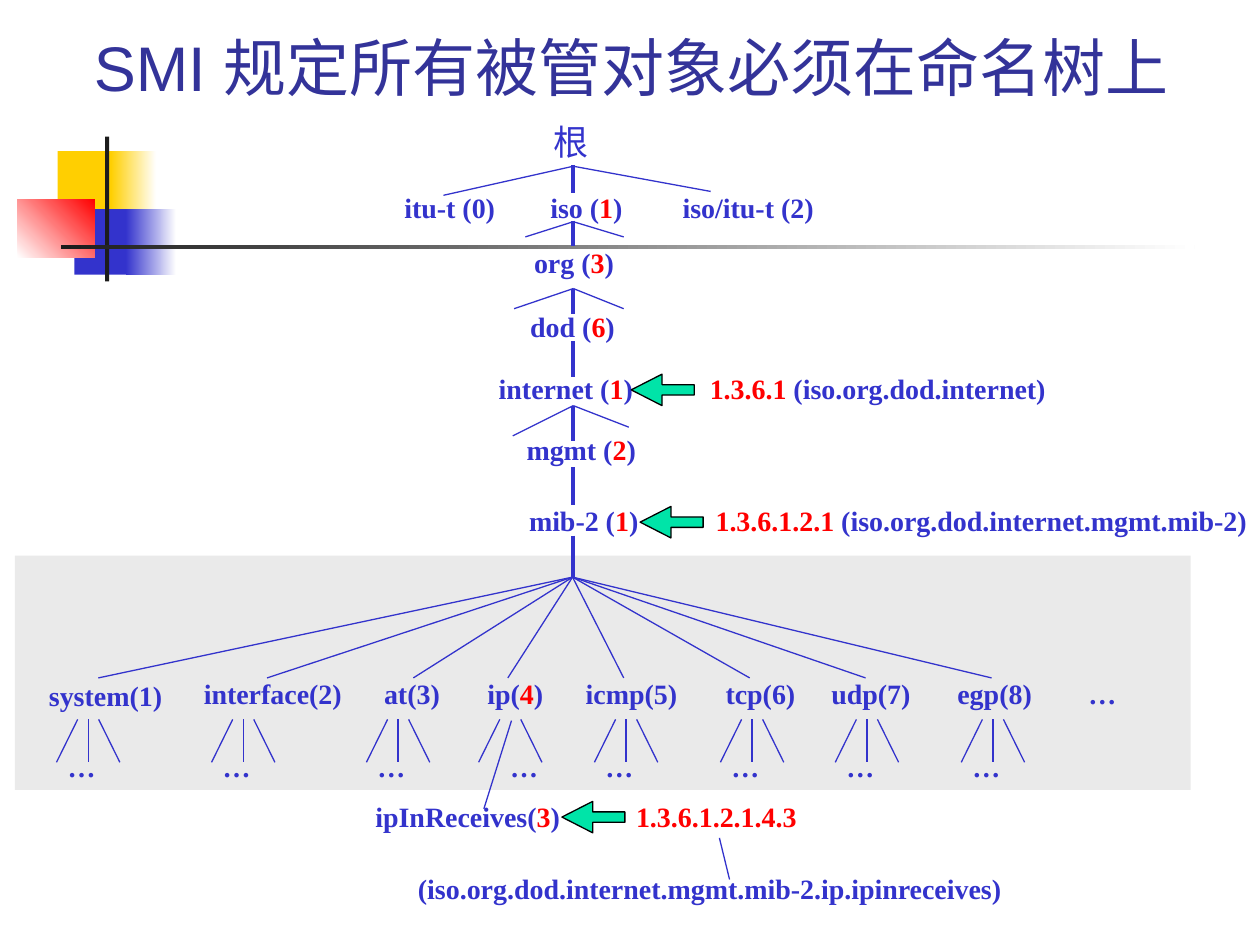
import pptx
import pptx.dml.color
import pptx.enum.shapes
import pptx.enum.text
import pptx.oxml
import pptx.util
from lxml import etree

Pt = pptx.util.Pt
SHAPES = pptx.enum.shapes.MSO_SHAPE
BLUE, RED, YELLOW, WHITE, BLACK = "3333CC", "FF0000", "FFCF01", "FFFFFF", "1C1C1C"
THIN, THICK = 0.75, 2.25
LABEL_HEIGHT = 26.6


def rgb(value):
    return pptx.dml.color.RGBColor.from_string(value)


def add_block(slide, left, top, width, height, start, end=None, angle=0):
    block = slide.shapes.add_shape(SHAPES.RECTANGLE, Pt(left), Pt(top), Pt(width), Pt(height))
    block.shadow.inherit = False
    block.line.fill.background()
    if end is None:
        block.fill.solid()
        block.fill.fore_color.rgb = rgb(start)
        return
    block.fill.gradient()
    block.fill.gradient_angle = angle
    for stop, position, color in zip(block.fill.gradient_stops, (0, 1), (start, end)):
        stop.position = position
        stop.color.rgb = rgb(color)


def add_branch(slide, x1, y1, x2, y2, weight=THIN):
    branch = slide.shapes.add_connector(
        pptx.enum.shapes.MSO_CONNECTOR.STRAIGHT, Pt(x1), Pt(y1), Pt(x2), Pt(y2))
    branch.line.color.rgb = rgb(BLUE)
    branch.line.width = Pt(weight)
    etree.SubElement(branch._element.spPr, pptx.oxml.ns.qn("a:effectLst"))


def add_pointer(slide, left, top):
    pointer = slide.shapes.add_shape(SHAPES.LEFT_ARROW, Pt(left), Pt(top), Pt(36), Pt(18))
    pointer.shadow.inherit = False
    pointer.adjustments[0] = 0.33
    pointer.adjustments[1] = 0.98
    pointer.fill.solid()
    pointer.fill.fore_color.rgb = rgb("00E4A8")
    pointer.line.color.rgb = rgb("000000")
    pointer.line.width = Pt(THIN)


def add_label(slide, left, top, width, text, size=16, bold=True, height=LABEL_HEIGHT, tab=None):
    label = slide.shapes.add_textbox(Pt(left), Pt(top), Pt(width), Pt(height))
    frame = label.text_frame
    frame.word_wrap = False
    frame.margin_right = Pt(3)
    frame.auto_size = pptx.enum.text.MSO_AUTO_SIZE.SHAPE_TO_FIT_TEXT
    paragraph = frame.paragraphs[0]
    if tab is not None:
        stops = etree.SubElement(paragraph._p.get_or_add_pPr(), pptx.oxml.ns.qn("a:tabLst"))
        etree.SubElement(stops, pptx.oxml.ns.qn("a:tab"), pos=str(int(Pt(tab))), algn="l")
    for index, part in enumerate(text.split("|")):
        if part:
            run = paragraph.add_run()
            run.text = part
            run.font.name = "Times New Roman"
            run.font.size = Pt(size)
            run.font.bold = bold
            run.font.color.rgb = rgb(RED if index % 2 else BLUE)


def add_title(slide, left, top, width, height):
    title = slide.shapes.add_textbox(Pt(left), Pt(top), Pt(width), Pt(height))
    frame = title.text_frame
    frame.word_wrap = True
    frame.margin_left = frame.margin_right = frame.margin_top = 0
    frame.margin_bottom = Pt(4.6)
    frame.vertical_anchor = pptx.enum.text.MSO_ANCHOR.BOTTOM
    paragraph = frame.paragraphs[0]
    paragraph.alignment = pptx.enum.text.PP_ALIGN.CENTER
    run = paragraph.add_run()
    run.text = "SMI 规定所有被管对象必须在命名树上 "
    run.font.name = "Arial"
    run.font.size = Pt(36)
    run.font.color.rgb = rgb("333399")


def add_ornament(slide, left, top):
    for x, y, width, height, *colors in (
        (23, 8.4, 34.6, 37.4, YELLOW),
        (53.4, 8.4, 25.9, 37.4, YELLOW, WHITE),
        (32.5, 41.5, 33.1, 37.4, BLUE),
        (62, 41.5, 28.8, 37.4, BLUE, WHITE),
        (0, 35.8, 44.2, 33.5, WHITE, RED, 45),
        (50, 0, 2.4, 82.8, BLACK),
        (24.7, 62, 648, 2.6, BLACK, WHITE),
    ):
        add_block(slide, left + x, top + y, width, height, *colors)


def add_naming_tree(slide, left, top):
    stem = left + 103.6
    add_label(slide, left + 85, top + 0.5, 34.6, "根", 20, False, 31.7)
    for x, y, width, text, tab in (
        (83.4, 40.1, 55.4, "iso (|1|)", None),
        (0, 40.1, 66.2, "itu-t (0)", None),
        (159, 40.1, 89.3, "iso/itu-t (2)", None),
        (74.1, 71.8, 59.8, "org (|3|)", None),
        (71.9, 108.5, 62.6, "dod (|6|)", None),
        (53.9, 143.8, 326.9, "internet (|1|)\t|1.3.6.1| (iso.org.dod.internet)", 120.6),
        (69.8, 178.4, 77, "mgmt (|2|)", None),
        (71.2, 219.4, 424.1, "mib-2 (|1|)\t|1.3.6.1.2.1| (iso.org.dod.internet.mgmt.mib-2)", 106.6),
    ):
        add_label(slide, left + x, top + y, width, text, tab=tab)
    for start, end in ((29.3, 45.2), (61, 75.4), (99.9, 114.3),
                       (130.1, 150.3), (166.8, 187), (202.1, 223.7)):
        add_branch(slide, stem, top + start, stem, top + end, THICK)
    for fork, *tips in (
        (30, (29.4, 46.6), (182.1, 44.4)),
        (61.7, (76.2, 70.4), (132.4, 70.4)),
        (99.9, (69.8, 111.4), (132.4, 111.4)),
        (166.8, (69, 184.1), (135.3, 179.1)),
    ):
        for x, y in tips:
            add_branch(slide, stem, top + fork, left + x, top + y)
    for x, y in ((136.7, 148.8), (141.8, 224.4)):
        add_pointer(slide, left + x, top + y)


def add_mib_groups(slide, left, top, width, height):
    add_block(slide, left, top, width, height, "EAEAEA")
    stem = left + 318.6
    add_branch(slide, stem, top - 11.5, stem, top + 13, THICK)
    for x, y, label_width, text, tip, center in (
        (12.3, 67, 79.2, "system(1)", 47.6, 41.8),
        (100.8, 65.5, 92.9, "interface(2)", 144, 130.4),
        (203.8, 65.5, 46.1, "at(3)", 227.6, 218.9),
        (262.8, 65.5, 46.1, "ip(|4|)", 281.6, 283),
        (319, 65.5, 66.2, "icmp(5)", 347.8, 349.2),
        (398.9, 65.5, 54, "tcp(6)", 419.8, 421.2),
        (459.4, 65.5, 59.8, "udp(7)", 486, 486.8),
        (531.4, 65.5, 56.9, "egp(8)", 558, 558.8),
    ):
        is_ip = text.startswith("ip(")
        add_label(slide, left + x, top + y, label_width, text)
        add_branch(slide, stem, top + 12.3, left + tip, top + 69.9)
        for side in (-1, 1) if is_ip else (-1, 0, 1):
            add_branch(slide, left + center + 6 * side, top + 93.6,
                       left + center + 18.1 * side, top + 118.1)
        add_label(slide, left + center - (7.2 if is_ip else 18.9), top + 107.3, 30.2, "…")
    add_label(slide, left + 606.3, top + 65.5, 30.2, "…")


def add_leaf_example(slide, left, top):
    add_branch(slide, left + 84.9, top - 41.8, left + 69.1, top + 8.6)
    add_label(slide, left, top, 123.8, "ipInReceives(|3|)")
    add_pointer(slide, left + 113.7, top + 4.3)
    add_label(slide, left + 149, top, 105.8, "|1.3.6.1.2.1.4.3")
    add_label(slide, left + 24.4, top + 41, 347.8,
              "(iso.org.dod.internet.mgmt.mib-2.ip.ipinreceives)")
    add_branch(slide, left + 209.5, top + 49, left + 203.7, top + 25.2)


def main():
    deck = pptx.Presentation()
    deck.slide_width, deck.slide_height = Pt(720), Pt(540)
    slide = deck.slides.add_slide(deck.slide_layouts[6])
    add_ornament(slide, 10, 78)
    add_title(slide, 41, 9.4, 647.3, 54.7)
    add_naming_tree(slide, 224, 65)
    add_mib_groups(slide, 8.6, 317.5, 671.8, 133.9)
    add_leaf_example(slide, 207.4, 453.6)
    deck.save("out.pptx")


if __name__ == "__main__":
    main()
